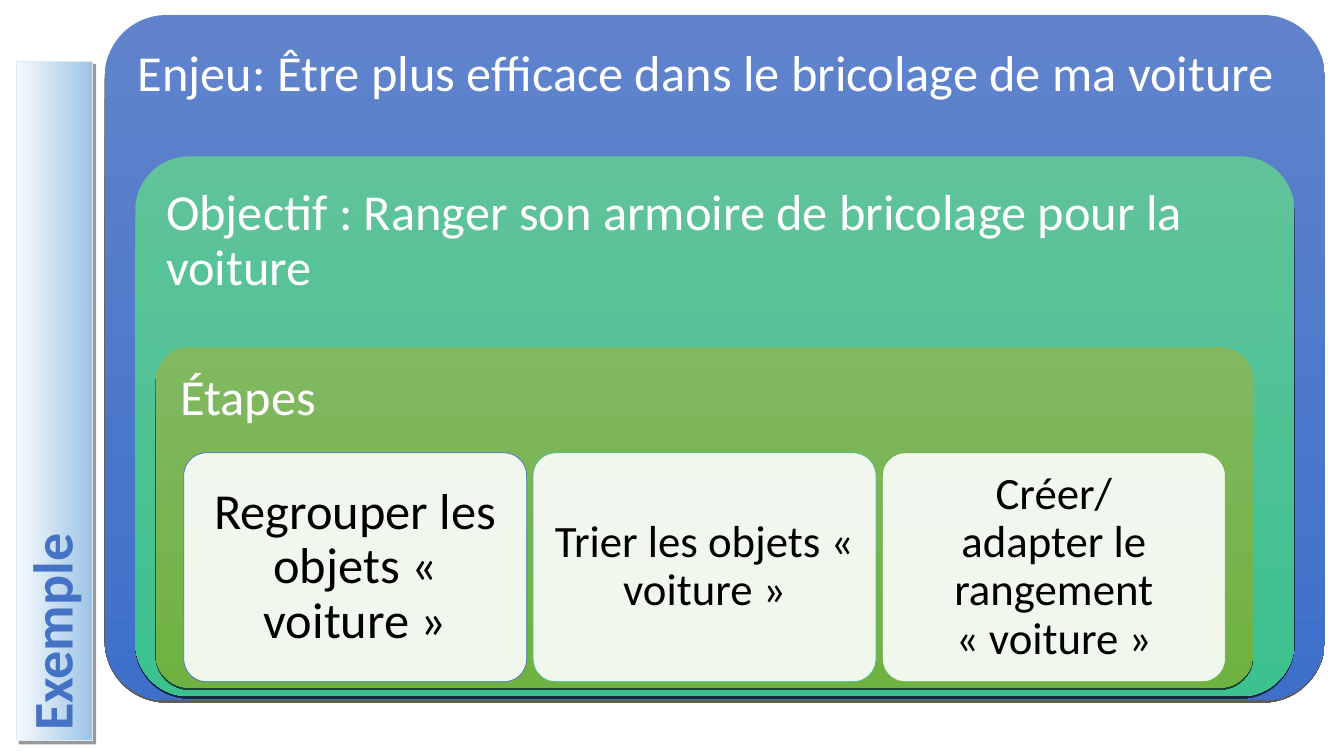
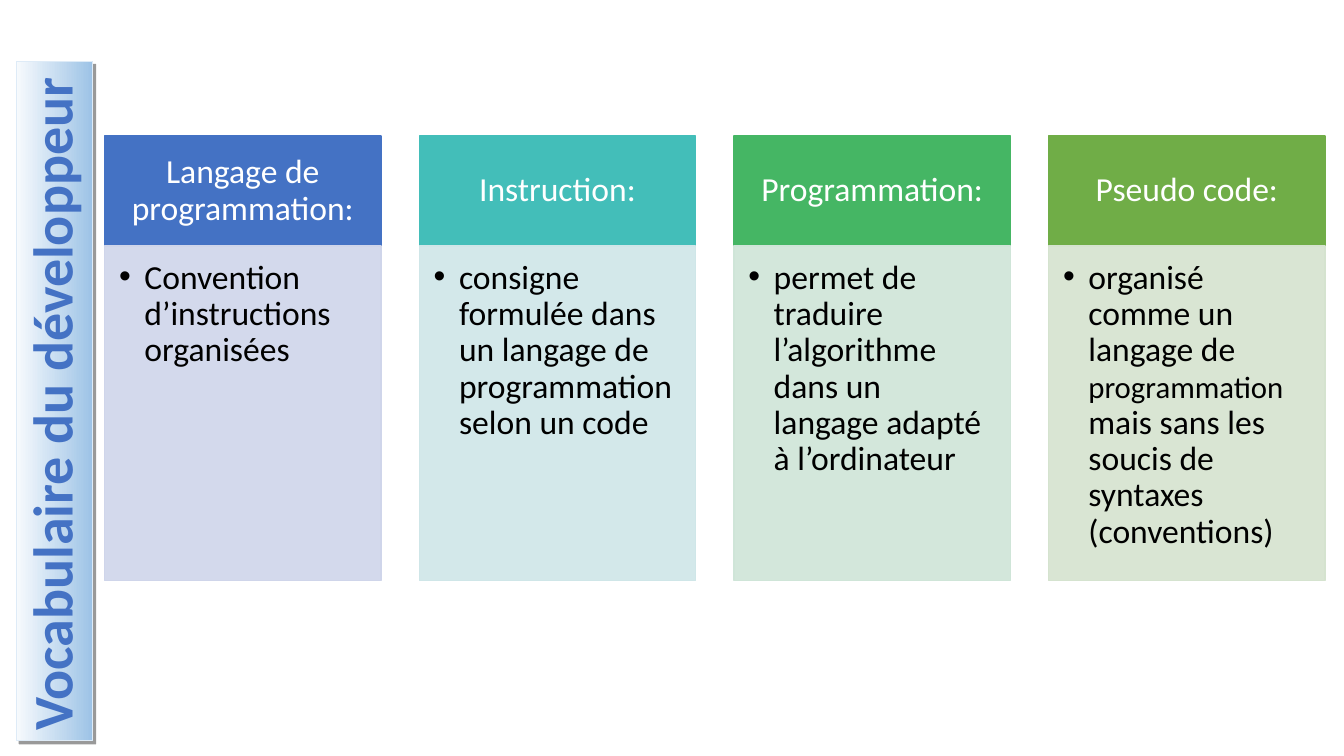
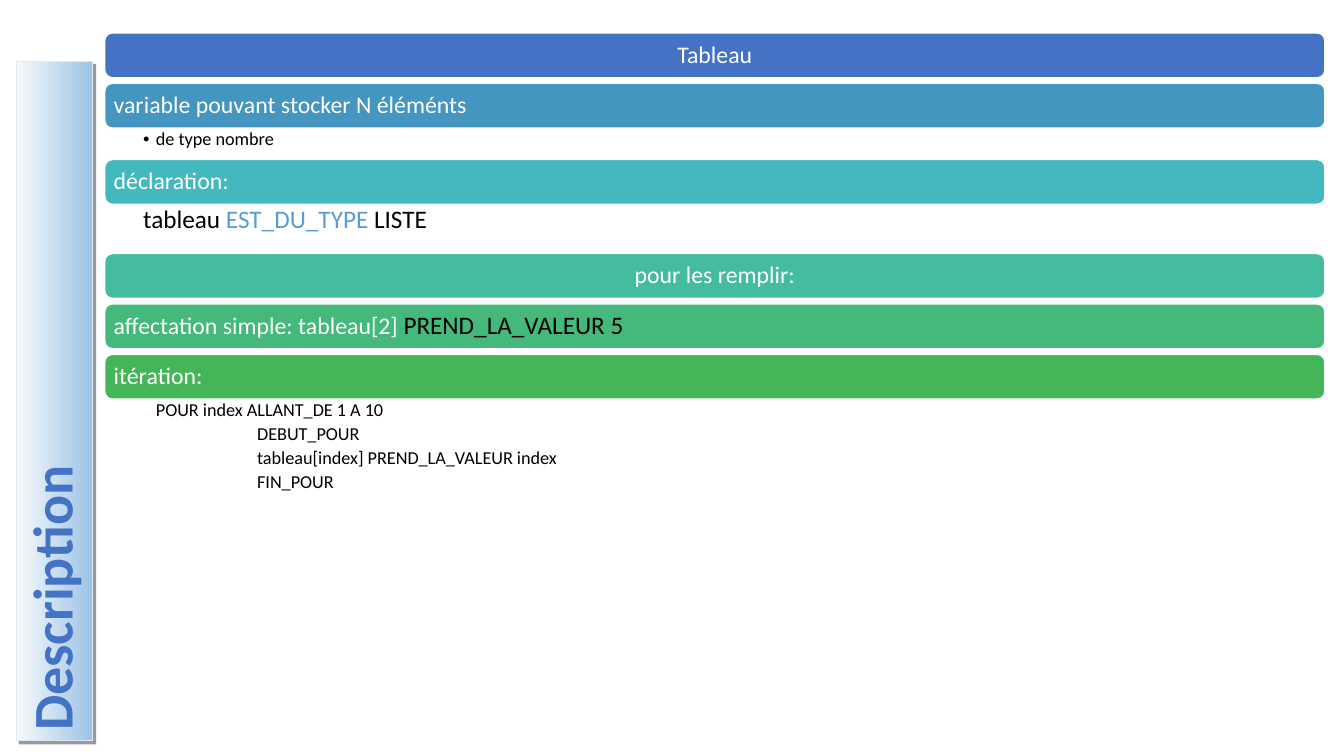
from collections import namedtuple
from lxml.etree import SubElement
from pptx import Presentation
from pptx.dml.color import RGBColor
from pptx.enum.shapes import MSO_SHAPE as SHAPE
from pptx.enum.text import MSO_ANCHOR as ANCHOR, PP_ALIGN as ALIGN
from pptx.oxml.ns import qn
from pptx.util import Cm, Pt

FONT = "Calibri"
COLORS = {
    "white": "FFFFFF", "black": "000000", "blue": "4472C4", "keyword": "5B9BD5",
    "band_start": "F7FAFD", "band_end": "9DC3E6", "band_line": "DEEBF7",
    "goal_top": "6083CB", "goal_bottom": "3E70CA",
    "target_top": "60C39A", "target_bottom": "3DC18F",
    "steps_top": "81B861", "steps_bottom": "6FB242",
    "mint": "43BB8D", "olive": "70AD47", "teal": "43BEB9", "green": "45B664",
    "pale_blue": "CFD5EA", "pale_teal": "CFE6E8",
    "pale_green": "CFE5D8", "pale_olive": "D5E3CF",
    "row_blue": "4496C1", "row_cyan": "43B8BF", "row_mint": "43BCA0",
    "row_green": "44B97B", "row_leaf": "45B559",
}
Box = namedtuple("Box", "x y w h")
BAND = Box(0.41, 1.55, 1.93, 17.12)
NESTED = Box(2.64, 0.38, 30.75, 17.27)
COLUMNS = Box(2.64, 3.43, 30.75, 11.2)
ROWS = Box(2.64, 0.83, 30.75, 11.72)


def rgb(name):
    return RGBColor.from_string(COLORS[name])


def add_bullet(p):
    pPr = p._p.get_or_add_pPr()
    color = SubElement(pPr, qn("a:buClr"))
    SubElement(color, qn("a:srgbClr"), val=COLORS["black"])
    SubElement(pPr, qn("a:buFont"), typeface="Arial")
    SubElement(pPr, qn("a:buChar"), char="•")


def write(s, paragraphs, size=24, color="white", bold=False, align=ALIGN.LEFT,
          anchor=ANCHOR.TOP, insets=(0, 0, 0, 0), after=0, indents=(0,), bullet=0):
    tf = s.text_frame
    tf.word_wrap = True
    tf.vertical_anchor = anchor
    tf.margin_left, tf.margin_top, tf.margin_right, tf.margin_bottom = map(Cm, insets)
    for i, runs in enumerate(paragraphs):
        p = tf.add_paragraph() if i else tf.paragraphs[0]
        pPr = p._p.get_or_add_pPr()
        pPr.set("marL", str(Cm(indents[min(i, len(indents) - 1)])))
        pPr.set("indent", str(Cm(-bullet)))
        if bullet:
            add_bullet(p)
        p.alignment = align
        p.line_spacing = 0.9
        p.space_before = Pt(0)
        p.space_after = Pt(after)
        for run in [(runs,)] if isinstance(runs, str) else runs:
            text, run_size, run_color = (*run, size, color)[:3] if len(run) == 1 else run
            r = p.add_run()
            r.text = text
            r.font.name = FONT
            r.font.size = Pt(run_size)
            r.font.bold = bold
            r.font.color.rgb = rgb(run_color)


def add_box(slide, box, fill, line=None, line_width=1, radius=0, opacity=100, angle=270):
    kind = SHAPE.ROUNDED_RECTANGLE if radius else SHAPE.RECTANGLE
    s = slide.shapes.add_shape(kind, *map(Cm, box))
    s.shadow.inherit = False
    if radius:
        s.adjustments[0] = radius
    if isinstance(fill, tuple):
        s.fill.gradient()
        s.fill.gradient_angle = angle
        for stop, position, name in zip(s.fill.gradient_stops, (0, 1), fill):
            stop.position = position
            stop.color.rgb = rgb(name)
    else:
        s.fill.solid()
        s.fill.fore_color.rgb = rgb(fill)
        if opacity < 100:
            color = s._element.spPr.find(qn("a:solidFill")).find(qn("a:srgbClr"))
            SubElement(color, qn("a:alpha"), val=str(opacity * 1000))
    if line:
        s.line.color.rgb = rgb(line)
        s.line.width = Pt(line_width)
    else:
        s.line.fill.background()
    return s


def add_shadow(s, distance, direction, opacity):
    effects = s._element.spPr.find(qn("a:effectLst"))
    shadow = SubElement(effects, qn("a:outerShdw"), blurRad="0", dist=str(Pt(distance)),
                        dir=str(direction * 60000), algn="ctr", rotWithShape="0")
    color = SubElement(shadow, qn("a:srgbClr"), val=COLORS["black"])
    SubElement(color, qn("a:alpha"), val=str(opacity * 1000))


def add_title_band(slide, title, box=BAND):
    s = add_box(slide, box, ("band_start", "band_end"), "band_line", 0.75, angle=0)
    add_shadow(s, 3, 45, 40)
    write(s, [title], size=40, color="blue", bold=True, anchor=ANCHOR.MIDDLE,
          insets=(0.13, 0.25, 0.13, 0.25))
    s.text_frame._txBody.bodyPr.set("vert", "vert270")


def add_nested(slide, box, layers, cards):
    for text, fill, radius, dx, dy, width, height in layers:
        layer = Box(box.x + dx, box.y + dy, width, height)
        s = add_box(slide, layer, fill, radius=radius)
        add_shadow(s, 1.5, 90, 63)
        write(s, [text], size=36, insets=(0.38,) * 4, after=15)
    margin, top, gap, height = 0.71, 2.67, 0.16, 5.77
    width = (layer.w - 2 * margin - gap * (len(cards) - 1)) / len(cards)
    for i, (paragraphs, size, line, inset) in enumerate(cards):
        card = Box(layer.x + margin + i * (width + gap), layer.y + top, width, height)
        s = add_box(slide, card, "white", line, 0.5, radius=0.1, opacity=90)
        write(s, paragraphs, size=size, color="black", align=ALIGN.CENTER,
              anchor=ANCHOR.MIDDLE, insets=(inset,) * 4)


def add_columns(slide, box, columns):
    width, head = 6.96, 2.77
    pitch = (box.w - width) / (len(columns) - 1)
    for i, (title, runs, fill, pale) in enumerate(columns):
        x = box.x + i * pitch
        s = add_box(slide, Box(x, box.y, width, head), fill, fill)
        write(s, [title], align=ALIGN.CENTER, anchor=ANCHOR.MIDDLE,
              insets=(0.48, 0.28, 0.48, 0.28))
        s = add_box(slide, Box(x, box.y + head, width, box.h - head), pale, pale, opacity=90)
        write(s, [runs], color="black", insets=(0.36, 0.36, 0.48, 0.53),
              indents=(0.64,), bullet=0.64)


def add_rows(slide, box, rows):
    bar, gap = 1.13, 0.14
    y = box.y
    for runs, fill, align, detail in rows:
        s = add_box(slide, Box(box.x, y, box.w, bar), fill, "white", radius=0.17)
        write(s, [runs], size=17, align=align, anchor=ANCHOR.MIDDLE, insets=(0.17,) * 4)
        y += bar
        if detail:
            height, paragraphs, style = detail
            s = slide.shapes.add_textbox(*map(Cm, (box.x, y, box.w, height)))
            write(s, paragraphs, color="black", insets=(0.97, 0.05, 0.33, 0.05),
                  after=3, **style)
            y += height
        else:
            y += gap


LAYERS = [
    ("Enjeu: Être plus efficace dans le bricolage de ma voiture",
     ("goal_top", "goal_bottom"), 0.09, 0, 0, 30.75, 17.27),
    ("Objectif : Ranger son armoire de bricolage pour la voiture",
     ("target_top", "target_bottom"), 0.1, 0.77, 3.56, 29.21, 13.61),
    ("Étapes", ("steps_top", "steps_bottom"), 0.1, 1.28, 8.36, 27.67, 8.59),
]
CARDS = [
    (["Regrouper les objets « voiture »"], 36, "blue", 0.38),
    (["Trier les objets « voiture »"], 32, "mint", 0.33),
    (["Créer/", "adapter le rangement", "« voiture »"], 32, "olive", 0.33),
]
VOCABULARY = [
    ("Langage de programmation:", "Convention d’instructions organisées",
     "blue", "pale_blue"),
    ("Instruction:", "consigne formulée dans un langage de programmation selon un code",
     "teal", "pale_teal"),
    ("Programmation:", "permet de traduire l’algorithme dans un langage adapté à l’ordinateur",
     "green", "pale_green"),
    ("Pseudo code:",
     [("organisé comme un langage de ",), ("programmation", 22, "black"),
      (" mais sans les soucis de syntaxes (conventions)",)],
     "olive", "pale_olive"),
]
TABLE_ROWS = [
    ("Tableau", "blue", ALIGN.CENTER, None),
    ("variable pouvant stocker N éléménts", "row_blue", ALIGN.LEFT,
     (0.79, ["de type nombre"], {"size": 13, "indents": (0.32,), "bullet": 0.32})),
    ("déclaration:", "row_cyan", ALIGN.LEFT,
     (1.24, [[("tableau ",), ("EST_DU_TYPE", 18, "keyword"), (" LISTE",)]], {"size": 18})),
    ("pour les remplir:", "row_mint", ALIGN.CENTER, None),
    ([("affectation simple: tableau[2] ",), ("PREND_LA_VALEUR 5", 18, "black")],
     "row_green", ALIGN.LEFT, None),
    ("itération:", "row_leaf", ALIGN.LEFT,
     (2.49, ["POUR index ALLANT_DE 1 A 10", "DEBUT_POUR",
             "tableau[index] PREND_LA_VALEUR index", "FIN_POUR"],
      {"size": 13, "indents": (0.32, 2.87)})),
]


def main():
    prs = Presentation()
    prs.slide_width, prs.slide_height = Cm(33.87), Cm(19.05)
    pages = [
        ("Exemple", add_nested, (NESTED, LAYERS, CARDS)),
        ("Vocabulaire du développeur", add_columns, (COLUMNS, VOCABULARY)),
        ("Description", add_rows, (ROWS, TABLE_ROWS)),
    ]
    for title, build, content in pages:
        slide = prs.slides.add_slide(prs.slide_layouts[6])
        build(slide, *content)
        add_title_band(slide, title)
    prs.save("out.pptx")


if __name__ == "__main__":
    main()
